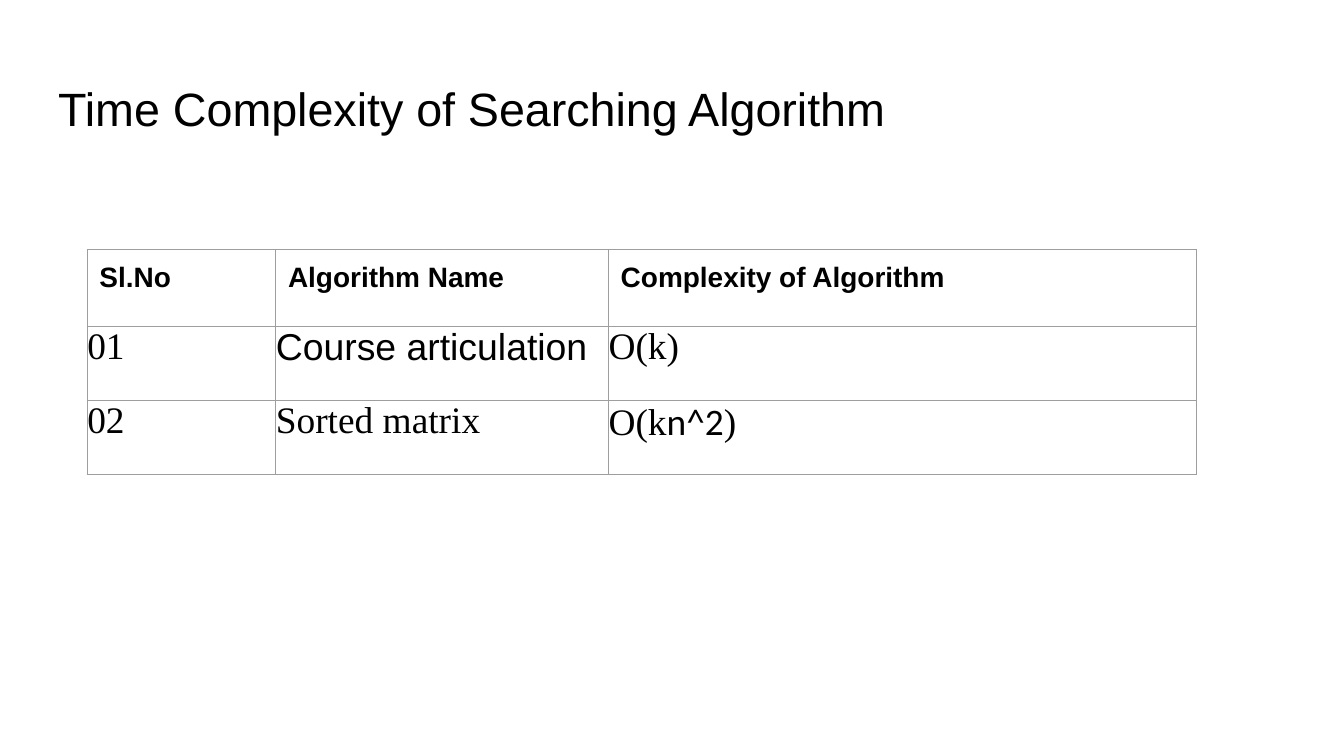
from lxml.etree import SubElement
from pptx import Presentation
from pptx.dml.color import RGBColor
from pptx.enum.text import MSO_ANCHOR
from pptx.oxml.ns import qn
from pptx.util import Cm, Pt

BLACK, GREY = "000000", "9E9E9E"
TITLE = {"name": "Arial", "size": Pt(25), "bold": False}
HEADER = {"name": "Arial", "size": Pt(15), "bold": True}
BODY = {"name": "Times New Roman", "size": Pt(20), "bold": False}
SANS = BODY | {"name": "Arial"}
MATH = BODY | {"name": "Calibri"}

HEADINGS = ["Sl.No", "Algorithm Name", "Complexity of Algorithm"]
ALGORITHMS = [
    [[("01", BODY)], [("Course articulation", SANS)], [("O(k)", BODY)]],
    [[("02", BODY)], [("Sorted matrix", BODY)],
     [("O(k", BODY), ("n^2", MATH), (")", BODY)]],
]


def color(value):
    """Turn a hex string into a colour."""
    return RGBColor.from_string(value)


def set_values(target, values):
    """Set each named attribute of the target."""
    for name, value in values.items():
        setattr(target, name, value)


def add_spans(para, spans):
    """Add formatted pieces of text to a paragraph."""
    for text, style in spans:
        span = para.add_run()
        span.text = text
        set_values(span.font, style)
        span.font.color.rgb = color(BLACK)


def add_borders(cell):
    """Draw a thin grey line on all four sides of a cell."""
    properties = cell._tc.get_or_add_tcPr()
    for position, side in enumerate(("a:lnL", "a:lnR", "a:lnT", "a:lnB")):
        line = SubElement(properties, qn(side), w=str(Pt(0.75)))
        fill = SubElement(line, qn("a:solidFill"))
        SubElement(fill, qn("a:srgbClr"), val=GREY)
        properties.insert(position, line)


def add_title(page, left, top, width, height):
    """Place the slide title in the given box."""
    frame = page.shapes.add_textbox(left, top, width, height).text_frame
    set_values(frame, {
        "word_wrap": True, "vertical_anchor": MSO_ANCHOR.BOTTOM,
        "margin_left": Cm(0.03), "margin_top": Cm(0.05),
        "margin_right": 0, "margin_bottom": 0,
    })
    add_spans(frame.paragraphs[0],
              [("Time Complexity of Searching Algorithm", TITLE)])


def add_complexity_table(page, left, top, width, height):
    """Place the table of algorithms in the given box."""
    rows = [[[(heading, HEADER)] for heading in HEADINGS]] + ALGORITHMS
    table = page.shapes.add_table(
        len(rows), len(HEADINGS), left, top, width, height).table
    set_values(table, {"first_row": False, "horz_banding": False})
    for column, share in zip(table.columns, (0.17, 0.3, 0.53)):
        column.width = int(width * share)
    for row, share in zip(table.rows, (0.34, 0.33, 0.33)):
        row.height = int(height * share)
    for row_number, row in enumerate(rows):
        inset = Cm(0.23) if row_number == 0 else 0
        for column_number, spans in enumerate(row):
            cell = table.cell(row_number, column_number)
            set_values(cell, {
                "margin_left": inset, "margin_top": inset,
                "margin_right": 0, "margin_bottom": 0,
            })
            cell.fill.background()
            add_borders(cell)
            add_spans(cell.text_frame.paragraphs[0], spans)


def main():
    """Build and save the deck."""
    deck = Presentation()
    set_values(deck, {"slide_width": Cm(25.4), "slide_height": Cm(14.28)})
    page = deck.slides.add_slide(deck.slide_layouts[6])
    add_title(page, Cm(1.07), Cm(1.4), Cm(23.27), Cm(1.16))
    add_complexity_table(page, Cm(1.65), Cm(4.72), Cm(20.96), Cm(4.24))
    deck.save("out.pptx")


if __name__ == "__main__":
    main()
